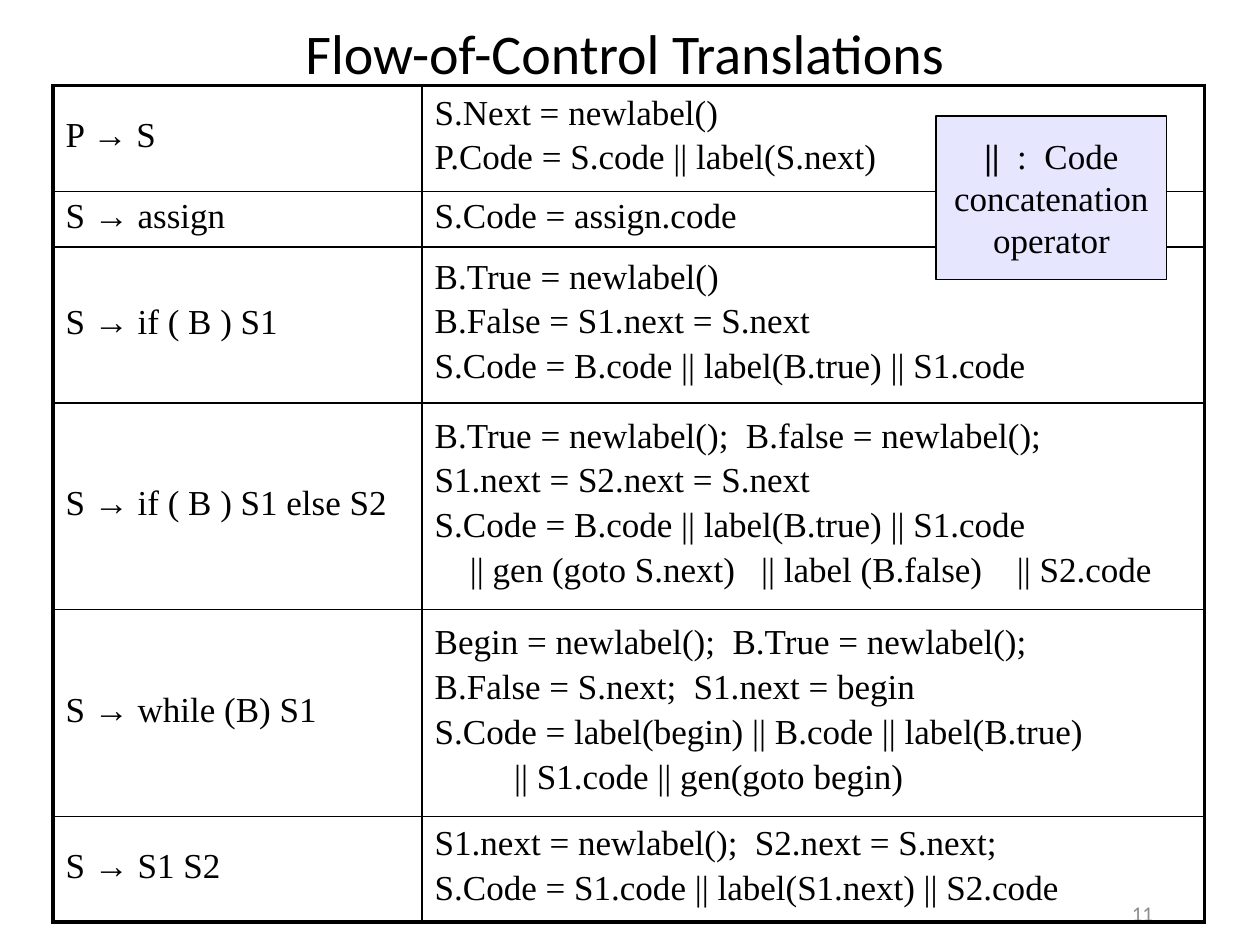
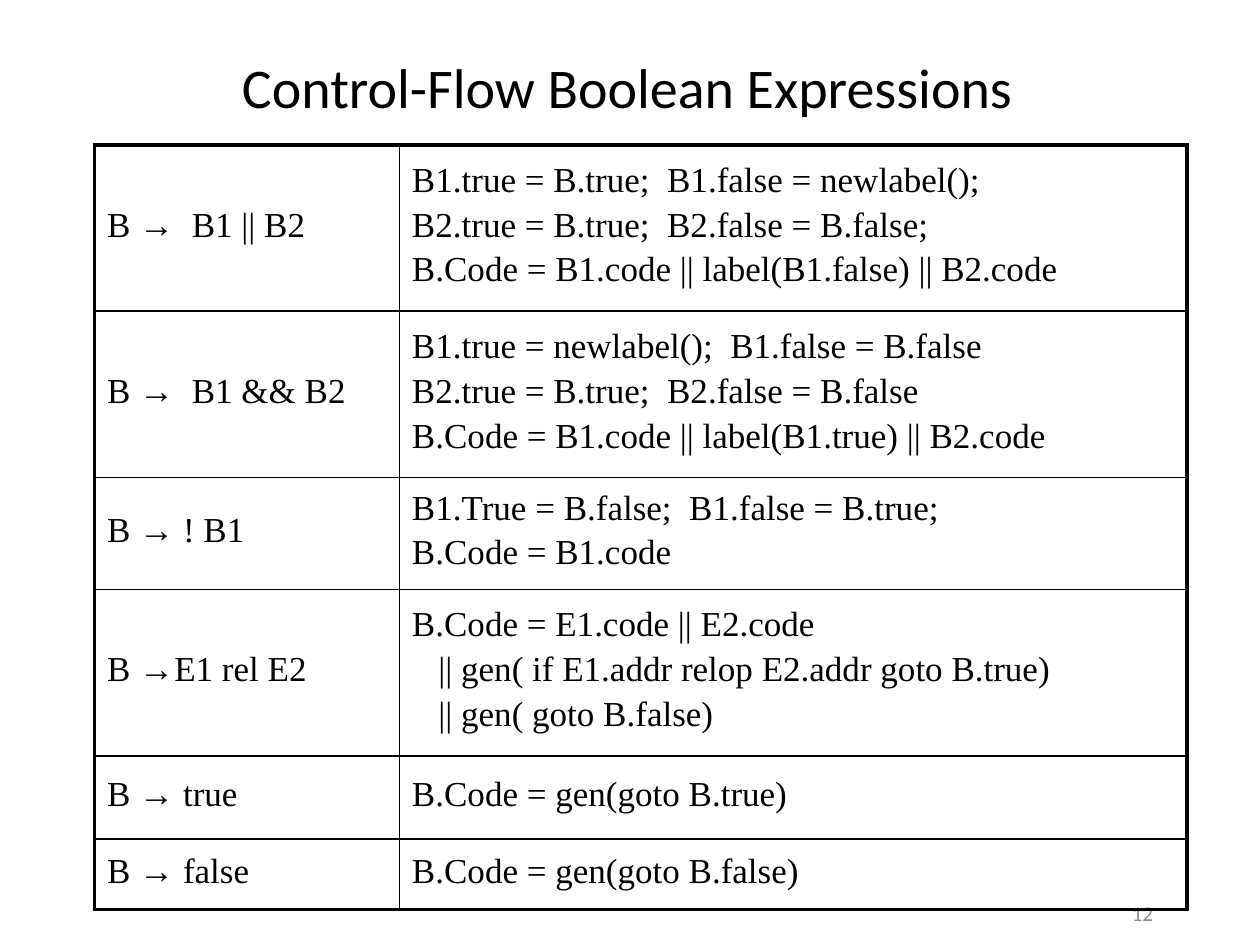
from lxml import etree
from pptx import Presentation
from pptx.dml.color import RGBColor
from pptx.enum.shapes import MSO_SHAPE
from pptx.enum.text import MSO_ANCHOR, MSO_AUTO_SIZE, PP_ALIGN
from pptx.oxml.ns import qn
from pptx.util import Inches, Pt

BLACK = RGBColor(0x00, 0x00, 0x00)
GREY = RGBColor(0x8C, 0x8C, 0x8C)
LILAC = RGBColor(0xE6, 0xE6, 0xFF)
SANS, SERIF, SYMBOL = "Calibri", "Times New Roman", "Arial"
THIN, THICK = 1, 2.25
ARROW = "→"
CENTER, RIGHT = PP_ALIGN.CENTER, PP_ALIGN.RIGHT
MIDDLE = MSO_ANCHOR.MIDDLE
RECT = MSO_SHAPE.RECTANGLE
NO_FIT = MSO_AUTO_SIZE.NONE
TITLE_ONLY = 5

# Each rule: row height, production, actions.
# An action with tabs is paired with its tab stops in inches.
FLOW_RULES = [
    (0.84, "P → S", ["S.Next = newlabel()", "P.Code = S.code || label(S.next)"]),
    (0.44, "S → assign", ["S.Code = assign.code"]),
    (1.24, "S → if ( B ) S1", [
        "B.True = newlabel()",
        "B.False = S1.next = S.next",
        "S.Code = B.code || label(B.true) || S1.code"]),
    (1.64, "S → if ( B ) S1 else S2", [
        "B.True = newlabel();  B.false = newlabel();",
        "S1.next = S2.next = S.next",
        "S.Code = B.code || label(B.true) || S1.code",
        ("\t|| gen (goto S.next)\t|| label (B.false)\t|| S2.code",
         (0.28, 2.59, 4.62))]),
    (1.64, "S → while (B) S1", [
        "Begin = newlabel();  B.True = newlabel();",
        "B.False = S.next;  S1.next = begin",
        "S.Code = label(begin) || B.code || label(B.true)",
        ("\t|| S1.code || gen(goto begin)", (0.63,))]),
    (0.84, "S → S1 S2", [
        "S1.next = newlabel();  S2.next = S.next;",
        "S.Code = S1.code || label(S1.next) || S2.code"]),
]
BOOL_RULES = [
    (1.32, "B →  B1 || B2", [
        "B1.true = B.true;  B1.false = newlabel();",
        "B2.true = B.true;  B2.false = B.false;",
        "B.Code = B1.code || label(B1.false) || B2.code"]),
    (1.32, "B →  B1 && B2", [
        "B1.true = newlabel();  B1.false = B.false",
        "B2.true = B.true;  B2.false = B.false",
        "B.Code = B1.code || label(B1.true) || B2.code"]),
    (0.89, "B → ! B1", [
        "B1.True = B.false;  B1.false = B.true;", "B.Code = B1.code"]),
    (1.32, "B →E1 rel E2", [
        "B.Code = E1.code || E2.code",
        ("\t|| gen( if E1.addr relop E2.addr goto B.true)", (0.21,)),
        ("\t|| gen( goto B.false)", (0.21,))]),
    (0.66, "B → true", ["B.Code = gen(goto B.true)"]),
    (0.56, "B → false", ["B.Code = gen(goto B.false)"]),
]


def style(run, size, face, color=BLACK):
    run.font.size = Pt(size)
    run.font.name = face
    run.font.color.rgb = color


def add_page(deck, title, box, number):
    """Add a slide with its title and page number."""
    slide = deck.slides.add_slide(deck.slide_layouts[TITLE_ONLY])
    head = slide.shapes.title
    head.left, head.top, head.width, head.height = map(Inches, box)
    write_line(head.text_frame, title, 32, CENTER, BLACK)
    foot = slide.shapes.add_textbox(*map(Inches, (7.25, 7.08, 2, 0.33)))
    write_line(foot.text_frame, number, 12, RIGHT, GREY)
    return slide


def write_line(frame, text, size, align, color):
    frame.text = text
    frame.word_wrap = True
    frame.auto_size = NO_FIT
    frame.vertical_anchor = MIDDLE
    para = frame.paragraphs[0]
    para.alignment = align
    style(para.runs[0], size, SANS, color)


def set_tabs(para, stops):
    props = para._p.get_or_add_pPr()
    tabs = etree.SubElement(props, qn("a:tabLst"))
    for stop in stops:
        etree.SubElement(tabs, qn("a:tab"), pos=str(Inches(stop)), algn="l")


def set_edges(cell, widths):
    """Draw the cell's borders; widths maps a side (L, R, T, B) to points."""
    props = cell._tc.get_or_add_tcPr()
    for side, width in widths.items():
        line = etree.SubElement(props, qn(f"a:ln{side}"), w=str(Pt(width)))
        fill = etree.SubElement(line, qn("a:solidFill"))
        etree.SubElement(fill, qn("a:srgbClr"), val=str(BLACK))


def fill_cell(cell, lines):
    cell.margin_left = cell.margin_right = Inches(0.1)
    cell.margin_top, cell.margin_bottom = Inches(0.02), Inches(0.05)
    cell.vertical_anchor = MIDDLE
    cell.fill.background()
    frame = cell.text_frame
    for i, line in enumerate(lines):
        text, stops = (line, ()) if isinstance(line, str) else line
        para = frame.add_paragraph() if i else frame.paragraphs[0]
        para.line_spacing = 0.93
        para.space_before = Pt(5)
        if stops:
            set_tabs(para, stops)
        for part in filter(None, text.partition(ARROW)):
            run = para.add_run()
            run.text = part
            style(run, 20, SYMBOL if part == ARROW else SERIF)


def add_rules(slide, left, top, widths, rules):
    """Add a table of productions and their actions."""
    last = len(rules) - 1
    height = sum(rule[0] for rule in rules)
    frame = slide.shapes.add_table(
        len(rules), 2, *map(Inches, (left, top, sum(widths), height)))
    table = frame.table
    table.first_row = table.horz_banding = False
    for col, width in zip(table.columns, widths):
        col.width = Inches(width)
    for r, (tall, rule, acts) in enumerate(rules):
        table.rows[r].height = Inches(tall)
        for c, lines in enumerate(([rule], acts)):
            cell = table.cell(r, c)
            set_edges(cell, {
                "L": THIN if c else THICK,
                "R": THICK if c else THIN,
                "T": THIN if r else THICK,
                "B": THICK if r == last else THIN})
            fill_cell(cell, lines)


def add_note(slide):
    """Add the box that explains the || sign."""
    note = slide.shapes.add_shape(RECT, *map(Inches, (7.43, 0.92, 1.83, 1.3)))
    note.shadow.inherit = False
    note.fill.solid()
    note.fill.fore_color.rgb = LILAC
    note.line.color.rgb = BLACK
    note.line.width = Pt(0.75)
    frame = note.text_frame
    frame.word_wrap = False
    frame.vertical_anchor = MIDDLE
    frame.text = "||\nconcatenation\noperator"
    first = frame.paragraphs[0]
    first.add_run().text = "  :  Code"
    for para in frame.paragraphs:
        para.alignment = CENTER
        for run in para.runs:
            style(run, 20, SERIF)
    first.runs[0].font.bold = True


def main():
    deck = Presentation()
    deck.slide_width, deck.slide_height = Inches(10), Inches(7.5)

    flow = add_page(deck, "Flow-of-Control Translations",
                    (0.75, 0.08, 8.42, 0.67), "11")
    add_rules(flow, 0.42, 0.68, (2.93, 6.21), FLOW_RULES)
    add_note(flow)

    logic = add_page(deck, "Control-Flow Boolean Expressions",
                     (0.77, 0.36, 8.42, 0.64), "12")
    add_rules(logic, 0.75, 1.15, (2.42, 6.25), BOOL_RULES)

    deck.save("out.pptx")


if __name__ == "__main__":
    main()
